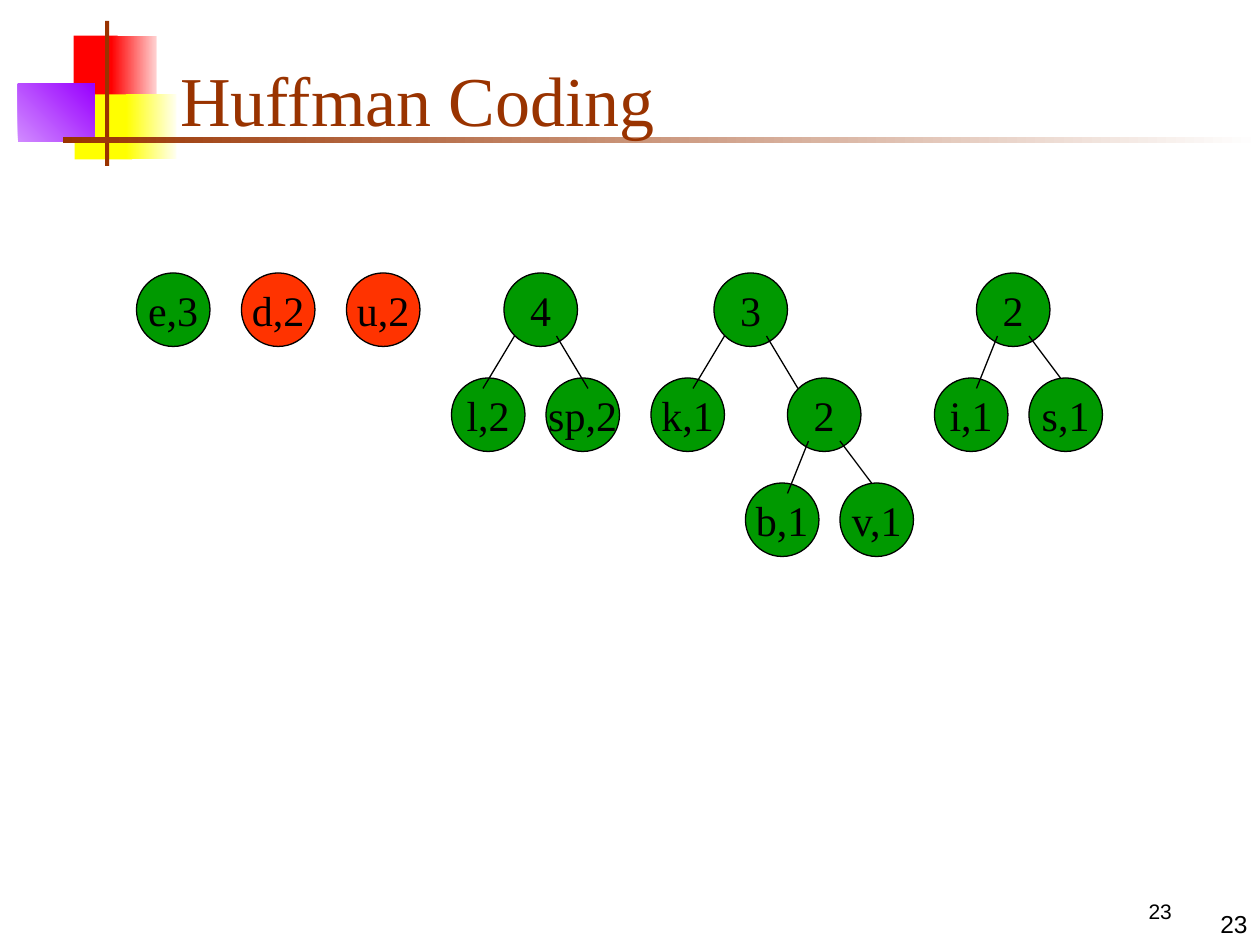
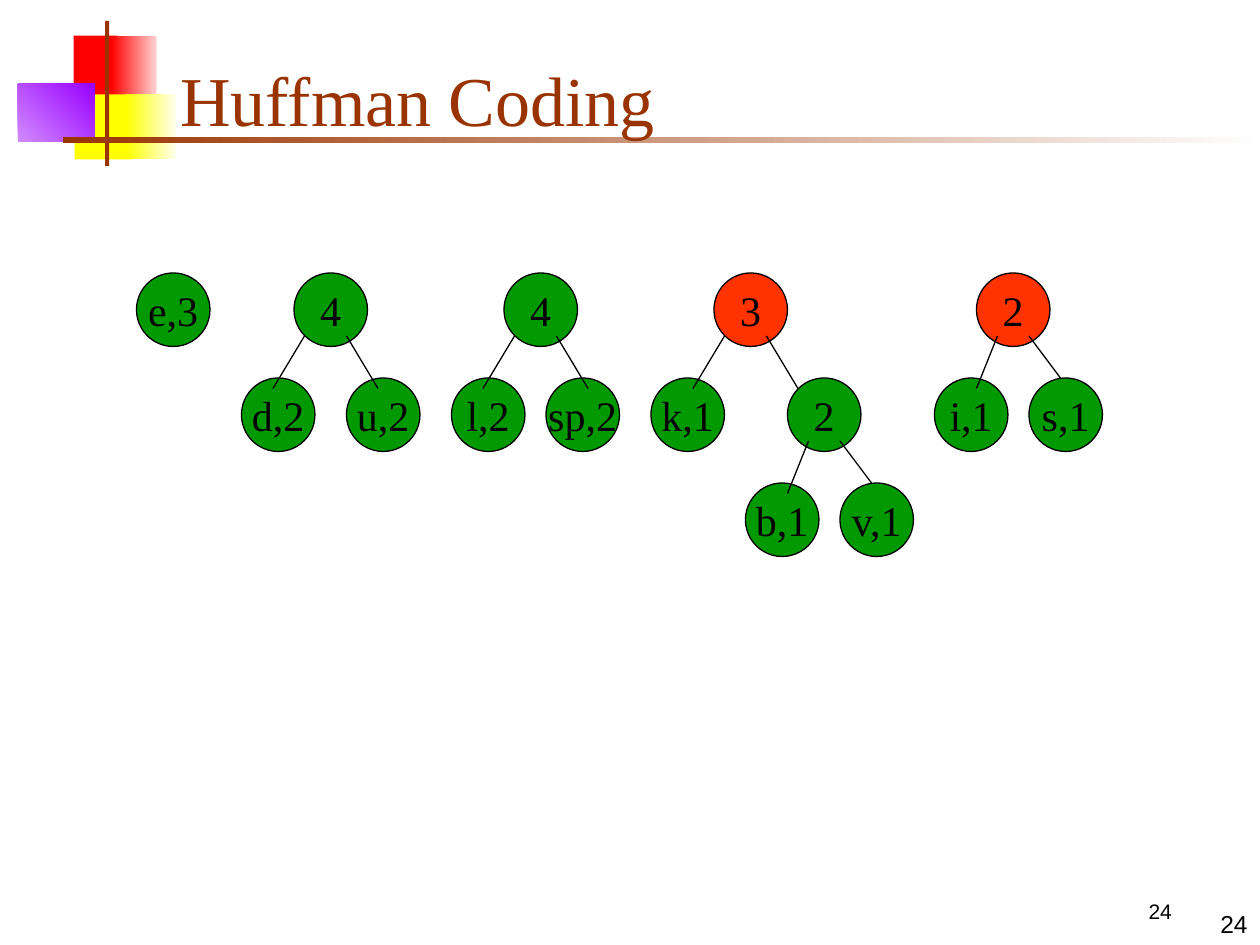
"""Build two slides that show successive merge steps of Huffman coding."""
from lxml.etree import SubElement
from pptx import Presentation
from pptx.dml.color import RGBColor
from pptx.enum.shapes import MSO_CONNECTOR, MSO_SHAPE
from pptx.enum.text import MSO_ANCHOR, PP_ALIGN
from pptx.oxml.ns import qn
from pptx.util import Pt

TITLE = "Huffman Coding"

TREE_L_SP = ("4", 480, "wide", [("l,2", 430), ("sp,2", 520)])
TREE_B_V = ("2", 750, "narrow", [("b,1", 710), ("v,1", 800)])
TREE_K = ("3", 680, "wide", [("k,1", 620), TREE_B_V])
TREE_I_S = ("2", 930, "narrow", [("i,1", 890), ("s,1", 980)])
TREE_D_U = ("4", 280, "wide", [("d,2", 230), ("u,2", 330)])

STEPS = [
    {"number": "23", "next_merge": ("d,2", "u,2"),
     "forest": [("e,3", 130), ("d,2", 230), ("u,2", 330), TREE_L_SP, TREE_K, TREE_I_S]},
    {"number": "24", "next_merge": ("3", "2"),
     "forest": [("e,3", 130), TREE_D_U, TREE_L_SP, TREE_K, TREE_I_S]},
]

COLORS = {
    "brown": "993300", "red": "FF0000", "pink": "FFD1D1", "yellow": "FFFF00",
    "cream": "FFFFF0", "lilac": "D18BFF", "purple": "9900FF", "white": "FFFFFF",
    "green": "009900", "orange": "FF3300", "black": "000000",
}

BANDS = [
    ((70, 34, 42, 62), ["red"], 0),
    ((106, 34, 43, 62), ["red", "pink"], 0),
    ((71, 90, 55, 62), ["yellow"], 0),
    ((120, 90, 48, 62), ["yellow", "cream"], 0),
    ((17, 80, 73, 55), ["lilac", "purple"], 45),
    ((100, 20, 4, 138), ["brown"], 0),
    ((60, 130, 1140, 6), ["brown", "white"], 0),
]

EDGES = {
    "wide": [(10, 60, -20, 110), (50, 60, 80, 110)],
    "narrow": [(20, 60, 0, 110), (50, 60, 80, 100)],
}

SCALE = 7620
WIDTH, HEIGHT = 1200, 900
NODE, TOP, LEVEL = 70, 260, 100
SERIF, SANS = "Times New Roman", "Arial"


def px(*values):
    return [v * SCALE for v in values]


def rgb(name):
    return RGBColor.from_string(COLORS[name])


def add_text(sp, text, size, font, color="black", align=PP_ALIGN.LEFT,
             anchor=MSO_ANCHOR.TOP, wrap=True):
    tf = sp.text_frame
    tf.word_wrap = wrap
    tf.vertical_anchor = anchor
    p = tf.paragraphs[0]
    p.alignment = align
    r = p.add_run()
    r.text = text
    r.font.size = Pt(size)
    r.font.name = font
    r.font.color.rgb = rgb(color)


def add_shape(s, kind, box, colors, angle=0):
    sp = s.shapes.add_shape(kind, *px(*box))
    sp.shadow.inherit = False
    sp.line.fill.background()
    if len(colors) == 1:
        sp.fill.solid()
        sp.fill.fore_color.rgb = rgb(colors[0])
    else:
        sp.fill.gradient()
        sp.fill.gradient_angle = angle
        for stop, color in zip(sp.fill.gradient_stops, colors):
            stop.color.rgb = rgb(color)
    return sp


def set_line(sp):
    sp.line.color.rgb = rgb("black")
    sp.line.width = Pt(0.75)


def add_node(s, label, x, y, color):
    sp = add_shape(s, MSO_SHAPE.OVAL, (x, y, NODE, NODE), [color])
    set_line(sp)
    add_text(sp, label, 24, SERIF, align=PP_ALIGN.CENTER,
             anchor=MSO_ANCHOR.MIDDLE, wrap=False)


def add_edge(s, x, y, edge):
    x1, y1, x2, y2 = edge
    line = s.shapes.add_connector(
        MSO_CONNECTOR.STRAIGHT, *px(x + x1, y + y1, x + x2, y + y2))
    set_line(line)
    SubElement(line._element.spPr, qn("a:effectLst"))


def add_tree(s, tree, y=TOP, color="green"):
    label, x, *branches = tree
    add_node(s, label, x, y, color)
    if branches:
        spread, children = branches
        for child in children:
            add_tree(s, child, y + LEVEL)
        for edge in EDGES[spread]:
            add_edge(s, x, y, edge)


def add_frame(s, number):
    for box, colors, angle in BANDS:
        add_shape(s, MSO_SHAPE.RECTANGLE, box, colors, angle)
    add_text(s.shapes.add_textbox(*px(1040, 850, 130, 40)), number, 12, SANS,
             align=PP_ALIGN.CENTER)
    add_text(s.shapes.add_textbox(*px(160, 30, 1022, 110)), TITLE, 40, SERIF,
             "brown", anchor=MSO_ANCHOR.BOTTOM)
    add_text(s.shapes.add_textbox(*px(950, 840, 250, 60)), number, 14, SANS,
             align=PP_ALIGN.RIGHT, anchor=MSO_ANCHOR.BOTTOM)


def main():
    prs = Presentation()
    prs.slide_width, prs.slide_height = px(WIDTH, HEIGHT)
    for step in STEPS:
        s = prs.slides.add_slide(prs.slide_layouts[6])
        add_frame(s, step["number"])
        for tree in step["forest"]:
            add_tree(s, tree, color="orange" if tree[0] in step["next_merge"] else "green")
    prs.save("out.pptx")


if __name__ == "__main__":
    main()
